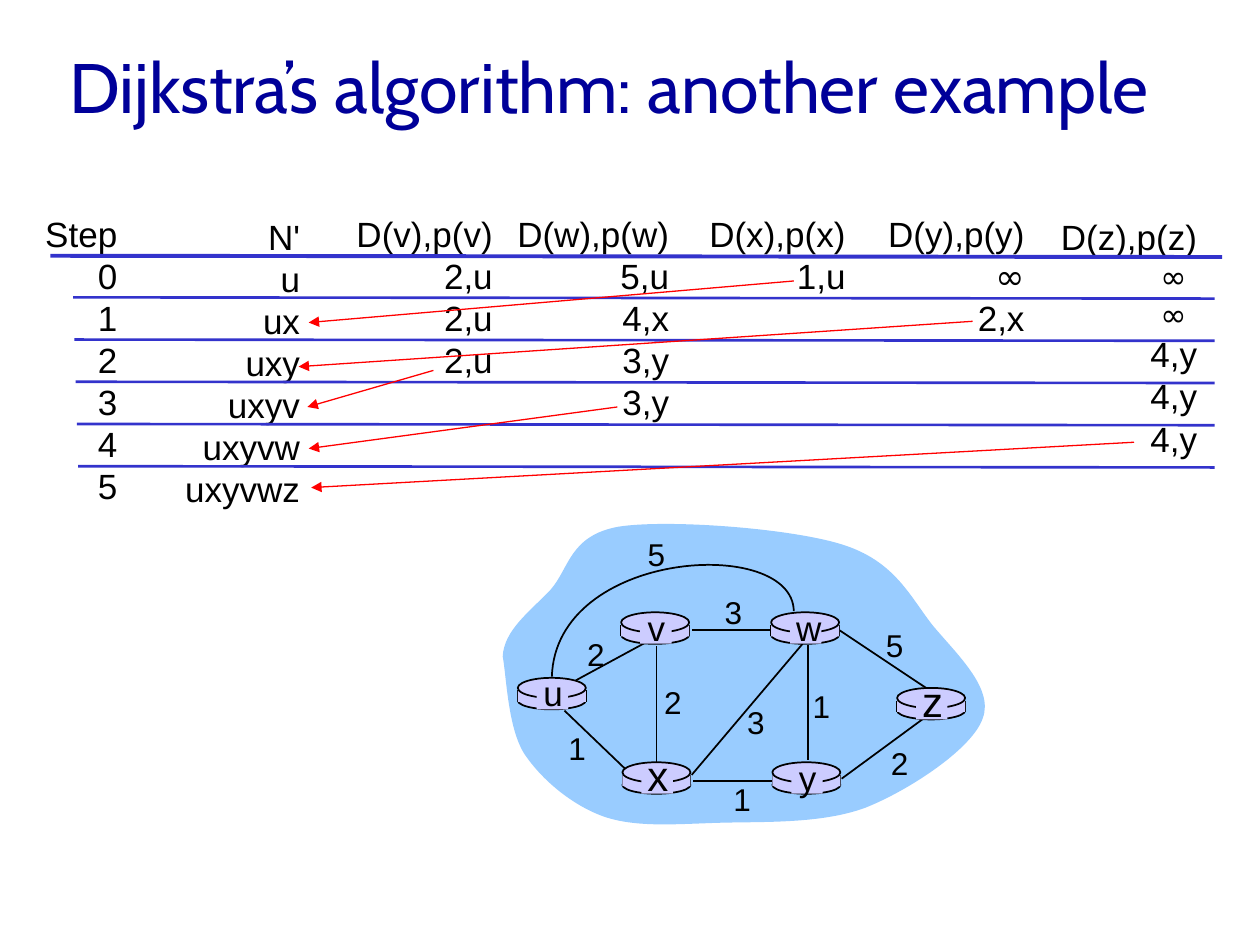
from lxml import etree
from pptx import Presentation
from pptx import util as u
from pptx.dml.color import RGBColor
from pptx.enum import shapes, text
from pptx.oxml.ns import qn

COLORS = {"title": "000099", "text": "000000", "rule": "3333CC", "arrow": "FF0000",
          "cloud": "99CCFF", "router": "CCCCFF", "outline": "000000"}

COLUMNS = [  # right edge, top, width, entries
    (0.77, 0, 0.77, ["Step", "0", "1", "2", "3", "4", "5"]),
    (2.22, 0.02, 1.11, ["N'", "u", "ux", "uxy", "uxyv", "uxyvw", "uxyvwz"]),
    (3.75, 0, 1.28, ["D(v),p(v)", "2,u", "2,u", "2,u"]),
    (5.15, 0, 1.41, ["D(w),p(w)", "5,u", "4,x", "3,y", "3,y"]),
    (6.55, 0, 1.28, ["D(x),p(x)", "1,u"]),
    (7.97, 0, 1.28, ["D(y),p(y)", "∞", "2,x"]),
    (9.34, 0.02, 1.28, ["D(z),p(z)", "∞ ", "∞ ", "4,y", "4,y", "4,y"]),
]
CHOICES = [  # from the chosen distance to the enlarged set N'
    ((6.04, 0.59), (2.19, 0.92)),
    ((7.46, 0.91), (2.11, 1.27)),
    ((3.18, 1.30), (2.18, 1.59)),
    ((4.64, 1.59), (2.19, 1.92)),
    ((8.74, 1.87), (2.21, 2.23)),
]

# Chains of cubic curves: a start, then two control points and an end for each
CLOUD = [
    (0, 1.09), (0.01, 0.88), (0.22, 0.73), (0.38, 0.56), (0.53, 0.39), (0.53, 0.13),
    (0.92, 0.06), (1.3, 0), (2.27, 0.07), (2.69, 0.2), (3.11, 0.33), (3.23, 0.61),
    (3.41, 0.84), (3.6, 1.07), (3.9, 1.34), (3.81, 1.58), (3.73, 1.82), (3.23, 2.15),
    (2.88, 2.29), (2.53, 2.42), (2.07, 2.4), (1.72, 2.41), (1.38, 2.42), (1.06, 2.45),
    (0.8, 2.36), (0.55, 2.27), (0.31, 2.07), (0.17, 1.86), (0.04, 1.65), (0.03, 1.25),
    (0, 1.09),
]
LONG_LINK = [(2.31, 0.73), (2.3, 0.13), (0.42, 0.24), (0.39, 1.25)]
ROUTERS = [  # name, left, top, label size
    ("u", 0.12, 1.26, 20), ("x", 0.95, 1.93, 24), ("v", 0.94, 0.74, 20),
    ("w", 2.13, 0.74, 20), ("y", 2.14, 1.93, 20), ("z", 3.13, 1.34, 24),
]
LINKS = [  # start, end, cost, centre of the cost
    ((0.58, 1.28), (1.17, 0.96), "2", (0.74, 1.07)),
    ((1.22, 1.01), (1.22, 1.95), "2", (1.35, 1.45)),
    ((0.97, 1.98), (0.49, 1.52), "1", (0.59, 1.82)),
    ((1.5, 2.03), (2.38, 0.99), "3", (2.01, 1.61)),
    ((2.15, 2.08), (1.51, 2.08), "1", (1.9, 2.22)),
    ((2.42, 1.0), (2.42, 1.91), "1", (2.53, 1.48)),
    ((2.69, 2.06), (3.33, 1.59), "2", (3.15, 1.94)),
    ((3.36, 1.34), (2.67, 0.88), "5", (3.11, 1.0)),
    ((2.14, 0.88), (1.5, 0.88), "3", (1.83, 0.74)),
]


def color(name):
    return RGBColor.from_string(COLORS[name])


def add_text(slide, left, top, width, height, lines, size, align, font="Arial", ink="text"):
    box = slide.shapes.add_textbox(*map(u.Inches, (left, top, width, height)))
    frame = box.text_frame
    frame.word_wrap = False
    frame.auto_size = text.MSO_AUTO_SIZE.SHAPE_TO_FIT_TEXT
    for index, line in enumerate(lines):
        paragraph = frame.paragraphs[0] if index == 0 else frame.add_paragraph()
        paragraph.text = line
        paragraph.alignment = align
        paragraph.font.name = font
        paragraph.font.size = u.Pt(size)
        paragraph.font.color.rgb = color(ink)
        paragraph._p.pPr.find(qn("a:defRPr")).set("kern", "0")
    return frame


def add_centred(slide, x, y, label, size):
    width, height = 0.36, 0.1 + size / 60
    add_text(slide, x - width / 2, y - height / 2, width, height, [label], size,
             text.PP_ALIGN.CENTER)


def add_line(slide, left, top, start, end, ink, width, arrow=False):
    """Draw a line between two points given relative to left and top."""
    connector = slide.shapes.add_connector(
        shapes.MSO_CONNECTOR.STRAIGHT,
        u.Inches(left + start[0]), u.Inches(top + start[1]),
        u.Inches(left + end[0]), u.Inches(top + end[1]))
    connector.line.color.rgb = color(ink)
    connector.line.width = u.Pt(width)
    if arrow:
        etree.SubElement(connector.line._get_or_add_ln(), qn("a:tailEnd"), type="triangle")
    etree.SubElement(connector._element.spPr, qn("a:effectLst"))


def paint(shape, fill=None, outline=None):
    shape.shadow.inherit = False
    if fill:
        shape.fill.solid()
        shape.fill.fore_color.rgb = color(fill)
    else:
        shape.fill.background()
    if outline:
        shape.line.color.rgb = color(outline)
        shape.line.width = u.Pt(1)
    else:
        shape.line.fill.background()


def add_curve(slide, left, top, controls, close):
    """Build a freeform through the control points, then turn its lines into curves."""
    points = [(u.Inches(left + x), u.Inches(top + y)) for x, y in controls]
    builder = slide.shapes.build_freeform(*points[0])
    builder.add_line_segments(points[1:], close=close)
    shape = builder.convert_to_shape()
    lines = list(shape._element.iter(qn("a:lnTo")))
    for first in range(0, len(controls) - 1, 3):
        curve = etree.Element(qn("a:cubicBezTo"))
        lines[first].addprevious(curve)
        for line in lines[first:first + 3]:
            curve.append(line[0])
            line.getparent().remove(line)
    return shape


def add_title(slide, left, top, width, height):
    frame = add_text(slide, left, top, width, height,
                     ["Dijkstra’s algorithm: another example"], 40,
                     text.PP_ALIGN.LEFT, "Cabin", "title")
    frame.word_wrap = True
    frame.auto_size = text.MSO_AUTO_SIZE.NONE
    frame.vertical_anchor = text.MSO_ANCHOR.MIDDLE


def add_steps(slide, left, top):
    """Place the table of steps, its rules and the arrows between rows."""
    for right, offset, width, entries in COLUMNS:
        frame = add_text(slide, left + right - width, top + offset, width,
                         0.1 + 0.33 * len(entries), entries, 20, text.PP_ALIGN.RIGHT)
        for paragraph in frame.paragraphs:
            if "∞" in paragraph.text:
                paragraph.font.name = "Comic Neue"
                paragraph.font.size = u.Pt(18 if paragraph.text.endswith(" ") else 20)
    add_line(slide, left, top, (0.14, 0.39), (9.44, 0.4), "rule", 2.25)
    for row in range(5):
        y = 0.72 + 0.335 * row
        add_line(slide, left, top, (0.32 + 0.01 * row, y), (9.38, y + 0.01), "rule", 1.5)
    for start, end in CHOICES:
        add_line(slide, left, top, start, end, "arrow", 0.75, arrow=True)


def add_router(slide, left, top, name, size):
    width = 0.54

    def add_part(kind, x, y, part_width, height, outline=None):
        part = slide.shapes.add_shape(
            kind, *map(u.Inches, (left + x, top + y, part_width, height)))
        paint(part, "router", outline)

    oval, rectangle = shapes.MSO_SHAPE.OVAL, shapes.MSO_SHAPE.RECTANGLE
    add_part(oval, 0, 0.11, width, 0.14, "outline")
    for side in (0, width):
        add_line(slide, left, top, (side, 0.1), (side, 0.19), "outline", 1)
    add_part(rectangle, 0, 0.1, width, 0.09)
    add_part(oval, 0, 0, width, 0.16, "outline")
    add_part(rectangle, 0.15, 0.02, 0.25, 0.23)
    add_centred(slide, left + 0.28, top + (0.12 if size == 20 else 0.1), name, size)


def add_network(slide, left, top):
    paint(add_curve(slide, left, top, CLOUD, close=True), fill="cloud")
    paint(add_curve(slide, left, top, LONG_LINK, close=False), outline="outline")
    for start, end, _, _ in LINKS:
        add_line(slide, left, top, start, end, "outline", 1)
    for name, x, y, size in ROUTERS:
        add_router(slide, left + x, top + y, name, size)
    costs = [(cost, centre) for _, _, cost, centre in LINKS] + [("5", (1.22, 0.28))]
    for cost, (x, y) in costs:
        add_centred(slide, left + x, top + y, cost, 18)


def main():
    presentation = Presentation()
    presentation.slide_width, presentation.slide_height = u.Inches(10), u.Inches(7.5)
    slide = presentation.slides.add_slide(presentation.slide_layouts[6])
    add_title(slide, 0.45, 0.15, 9.15, 1.05)
    add_steps(slide, 0.26, 1.64)
    add_network(slide, 3.99, 4.12)
    presentation.save("out.pptx")


if __name__ == "__main__":
    main()
